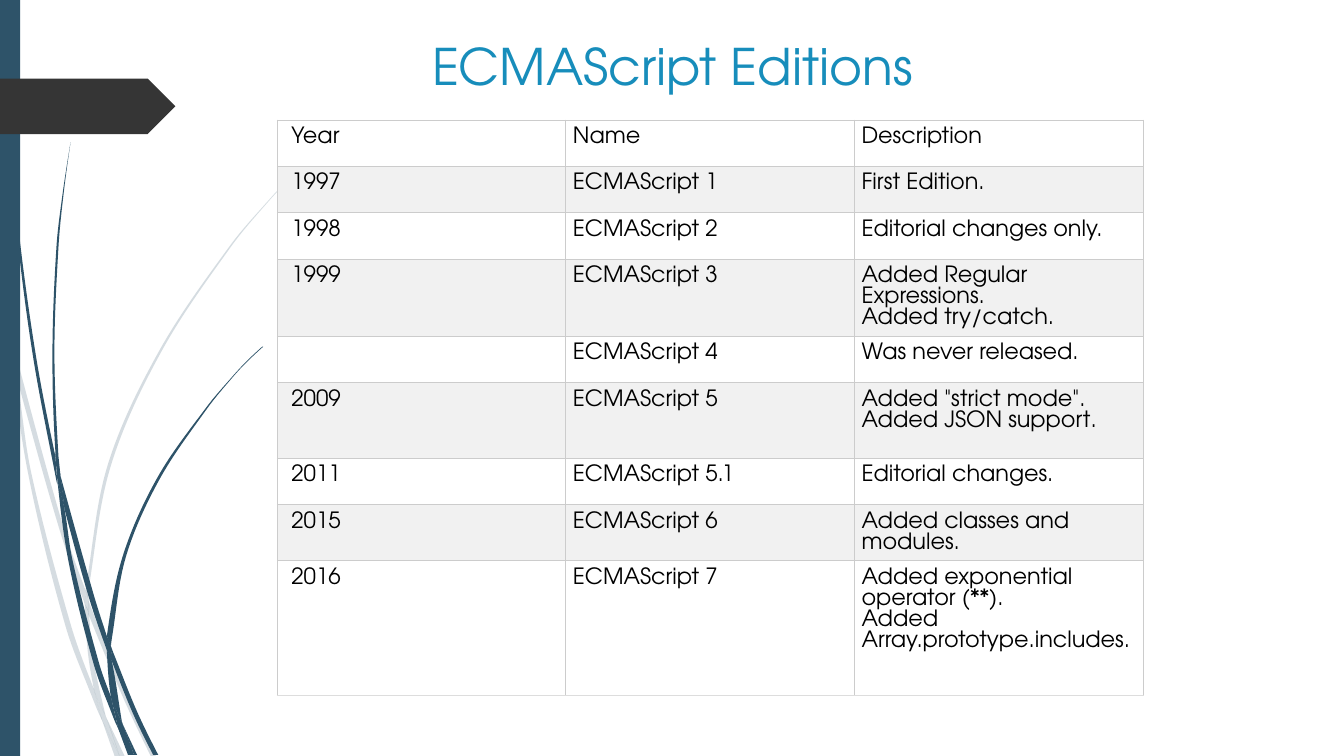
from dataclasses import dataclass

from lxml import etree
from pptx import Presentation
from pptx import util as u
from pptx.dml.color import RGBColor
from pptx.enum import shapes, text
from pptx.oxml.ns import qn


@dataclass
class Theme:
    font: str = "TeX Gyre Adventor"
    title_size: int = 36
    cell_size: int = 16
    cell_leading: int = 15
    title: str = "178DBB"
    ink: str = "000000"
    stem: str = "2E5369"
    tag: str = "353535"
    rows: tuple = ("FFFFFF", "F1F1F1")
    grid: str = "CCCCCC"
    grid_end: str = "DDDDDD"


theme = Theme()


def edge_controls(points):
    """Return the two Bezier handles for each step along one edge."""
    pts = [complex(*point) for point in points]
    handles = []
    for i, (start, end) in enumerate(zip(pts, pts[1:])):
        reach = abs(end - start) / 3
        before, after = pts[max(i - 1, 0)], pts[min(i + 2, len(pts) - 1)]
        first = start + reach * (end - before) / (abs(end - before) or 1)
        second = end - reach * (after - start) / (abs(after - start) or 1)
        if i == 0:
            first = (start + second) / 2
        if i == len(pts) - 2:
            second = (end + first) / 2
        handles.append((first, second))
    return handles


def style_font(span, size, color):
    span.font.name = theme.font
    span.font.size = u.Pt(size)
    span.font.color.rgb = RGBColor.from_string(color)


deck = Presentation()
deck.slide_width, deck.slide_height = u.Inches(13.33), u.Inches(7.5)
page = deck.slides.add_slide(deck.slide_layouts[6])

# Grass stems: each blade is a pair of edges, there and back
pale_blades = [
    ([(0, 2.82), (0.09, 3.22), (0.11, 3.5)], [(0.1, 3.44), (0, 2.99)]),
    ([(0.14, 3.45), (0.62, 5.2), (0.85, 5.86)],
     [(0.84, 5.99), (0.58, 5.22), (0.17, 3.76)]),
    ([(0.88, 5.96), (0.92, 6.07), (1.27, 6.92), (1.55, 7.51)],
     [(1.5, 7.51), (1.23, 6.94), (0.88, 6.1)]),
    ([(1.05, 7.11), (1.24, 7.51)], [(1.19, 7.51), (1.05, 7.11)]),
    ([(0.11, 3.5), (0.17, 3.76), (0.31, 4.69), (0.7, 6.19), (0.93, 6.83)],
     [(0.99, 7.07), (1.01, 7.14), (0.92, 6.93), (0.65, 6.21), (0.28, 4.7), (0.11, 3.5)]),
    ([(0.84, 5.99), (0.88, 6.08), (0.91, 6.46), (1.05, 7.11)],
     [(0.96, 6.92), (0.93, 6.83), (0.87, 6.46), (0.84, 5.99)]),
    ([(0.88, 5.96), (0.88, 5.84), (1.1, 4.62), (1.6, 3.49), (2.29, 2.45),
      (2.68, 1.98), (2.9, 1.75), (3.12, 1.54)],
     [(3.12, 1.53), (2.89, 1.75), (2.68, 1.97), (2.28, 2.44), (1.58, 3.48),
      (1.07, 4.61), (0.85, 5.84), (0.85, 5.86)]),
    ([(1.01, 7.14), (1.14, 7.51)], [(1.19, 7.51), (1.01, 7.14)]),
    ([(0.85, 5.86), (0.88, 5.96), (0.88, 6.1)], [(0.88, 6.08), (0.84, 5.99)]),
    ([(0.93, 6.83), (0.96, 6.92), (1.05, 7.11), (1.19, 7.51)],
     [(1.01, 7.14), (0.99, 7.07), (0.93, 6.83)]),
]
dark_blades = [
    ([(0.04, 0), (0.05, 0.48), (0.08, 1.09), (0.19, 2.32), (0.36, 3.55), (0.55, 4.53)],
     [(0.57, 4.81), (0.56, 4.77), (0.33, 3.55), (0.17, 2.33), (0.07, 1.1),
      (0.04, 0.48), (0.03, 0)]),
    ([(0.6, 4.72), (0.93, 5.9), (1.06, 6.31)],
     [(1.06, 6.45), (0.88, 5.92), (0.64, 5.05)]),
    ([(1.1, 6.41), (1.13, 6.49), (1.36, 7.06), (1.57, 7.49)],
     [(1.52, 7.49), (1.32, 7.08), (1.11, 6.56)]),
    ([(0.57, 4.77), (0.64, 5.05), (0.72, 5.56), (0.98, 6.57), (1.1, 6.91)],
     [(1.16, 7.17), (1.17, 7.22), (1.11, 7.08), (0.93, 6.59), (0.68, 5.57), (0.57, 4.77)]),
    ([(0.7, 1.41), (0.62, 1.93), (0.56, 2.45), (0.52, 3.49), (0.55, 4.49), (0.6, 4.72)],
     [(0.58, 4.53), (0.54, 3.49), (0.58, 2.45), (0.63, 1.93), (0.7, 1.41)]),
    ([(1.22, 7.19), (1.36, 7.49)], [(1.33, 7.49), (1.22, 7.19)]),
    ([(0.55, 4.49), (0.6, 4.72), (0.64, 5.05)], [(0.57, 4.77), (0.55, 4.53)]),
    ([(1.1, 6.41), (1.11, 6.33), (1.25, 5.52), (1.58, 4.76), (2.05, 4.06),
      (2.31, 3.74), (2.45, 3.59), (2.61, 3.44)],
     [(2.6, 3.44), (2.45, 3.58), (2.31, 3.73), (2.04, 4.05), (1.56, 4.74),
      (1.22, 5.51), (1.06, 6.31)]),
    ([(1.17, 7.22), (1.31, 7.49)], [(1.27, 7.49), (1.17, 7.22)]),
    ([(1.06, 6.45), (1.11, 6.56), (1.21, 7.16), (1.22, 7.19)],
     [(1.16, 7.06), (1.1, 6.91), (1.06, 6.45)]),
    ([(1.06, 6.31), (1.1, 6.41), (1.11, 6.56)], [(1.06, 6.45), (1.06, 6.31)]),
    ([(1.1, 6.91), (1.16, 7.06), (1.22, 7.19), (1.33, 7.49)],
     [(1.3, 7.49), (1.17, 7.22), (1.16, 7.17), (1.1, 6.91)]),
]
for blades, opacity in ((pale_blades, 20), (dark_blades, 100)):
    for there, back in blades:
        outline = [(u.Inches(x), u.Inches(y)) for x, y in there + back]
        builder = page.shapes.build_freeform(*outline[0])
        builder.add_line_segments(outline[1:], close=True)
        blade = builder.convert_to_shape()

        # Bend the straight steps; the step between the edges stays straight
        steps = list(blade._element.iter(qn("a:lnTo")))
        for step, handles in zip(steps, edge_controls(there) + [None] + edge_controls(back)):
            if handles:
                step.tag = qn("a:cubicBezTo")
                for i, handle in enumerate(handles):
                    point = etree.Element(
                        qn("a:pt"), x=str(u.Inches(handle.real) - blade.left),
                        y=str(u.Inches(handle.imag) - blade.top))
                    step.insert(i, point)

        blade.shadow.inherit = False
        blade.fill.solid()
        blade.fill.fore_color.rgb = RGBColor.from_string(theme.stem)
        blade.line.fill.background()
        if opacity < 100:
            color = blade._element.spPr.find(".//" + qn("a:srgbClr"))
            etree.SubElement(color, qn("a:alpha"), val=str(opacity * 1000))

# Side bar and page tag
for preset, top, width, height, color in (
        (shapes.MSO_SHAPE.RECTANGLE, 0, 0.2, 7.5, theme.stem),
        (shapes.MSO_SHAPE.PENTAGON, 0.78, 1.74, 0.55, theme.tag)):
    band = page.shapes.add_shape(
        preset, 0, u.Inches(top), u.Inches(width), u.Inches(height))
    band.shadow.inherit = False
    band.fill.solid()
    band.fill.fore_color.rgb = RGBColor.from_string(color)
    band.line.fill.background()

# Title
box = page.shapes.add_textbox(u.Inches(2.17), u.Inches(0.3), u.Inches(9), u.Inches(1.01))
box.text_frame.word_wrap = True
box.text_frame.text = "ECMAScript Editions"
para = box.text_frame.paragraphs[0]
para.alignment = text.PP_ALIGN.CENTER
style_font(para.runs[0], theme.title_size, theme.title)

# Editions table
editions = [
    ("Year", "Name", "Description"),
    ("1997", "ECMAScript 1", "First Edition."),
    ("1998", "ECMAScript 2", "Editorial changes only."),
    ("1999", "ECMAScript 3", "Added Regular Expressions.\vAdded try/catch."),
    ("", "ECMAScript 4", "Was never released."),
    ("2009", "ECMAScript 5", 'Added "strict mode".\vAdded JSON support.'),
    ("2011", "ECMAScript 5.1", "Editorial changes."),
    ("2015", "ECMAScript 6", "Added classes and modules."),
    ("2016", "ECMAScript 7",
     "Added exponential operator (**).\vAdded Array.prototype.includes."),
]
row_heights = [0.46, 0.46, 0.46, 0.75, 0.46, 0.75, 0.46, 0.46, 1.34]
table_width = u.Inches(8.59)
table = page.shapes.add_table(
    len(editions), 3, u.Inches(2.75), u.Inches(1.19),
    table_width, u.Inches(sum(row_heights))).table
table.first_row = table.horz_banding = False
for column in table.columns:
    column.width = table_width // 3

for r, (edition, height) in enumerate(zip(editions, row_heights)):
    table.rows[r].height = u.Inches(height)
    for c, words in enumerate(edition):
        cell = table.cell(r, c)
        cell.margin_left = u.Inches(0.07 if c else 0.14)
        cell.margin_right = cell.margin_top = cell.margin_bottom = u.Inches(0.07)

        para = cell.text_frame.paragraphs[0]
        para.text = words
        para.line_spacing = u.Pt(theme.cell_leading)
        for span in para.runs:
            style_font(span, theme.cell_size, theme.ink)

        # Borders come before the fill in the cell properties
        properties = cell._tc.get_or_add_tcPr()
        for side in ("lnL", "lnR", "lnT", "lnB"):
            last = side == "lnB" and r == len(editions) - 1
            border = etree.SubElement(properties, qn("a:" + side), w=str(u.Pt(0.75)))
            fill = etree.SubElement(border, qn("a:solidFill"))
            etree.SubElement(fill, qn("a:srgbClr"),
                             val=theme.grid_end if last else theme.grid)
        cell.fill.solid()
        cell.fill.fore_color.rgb = RGBColor.from_string(theme.rows[r % 2])

deck.save("out.pptx")
